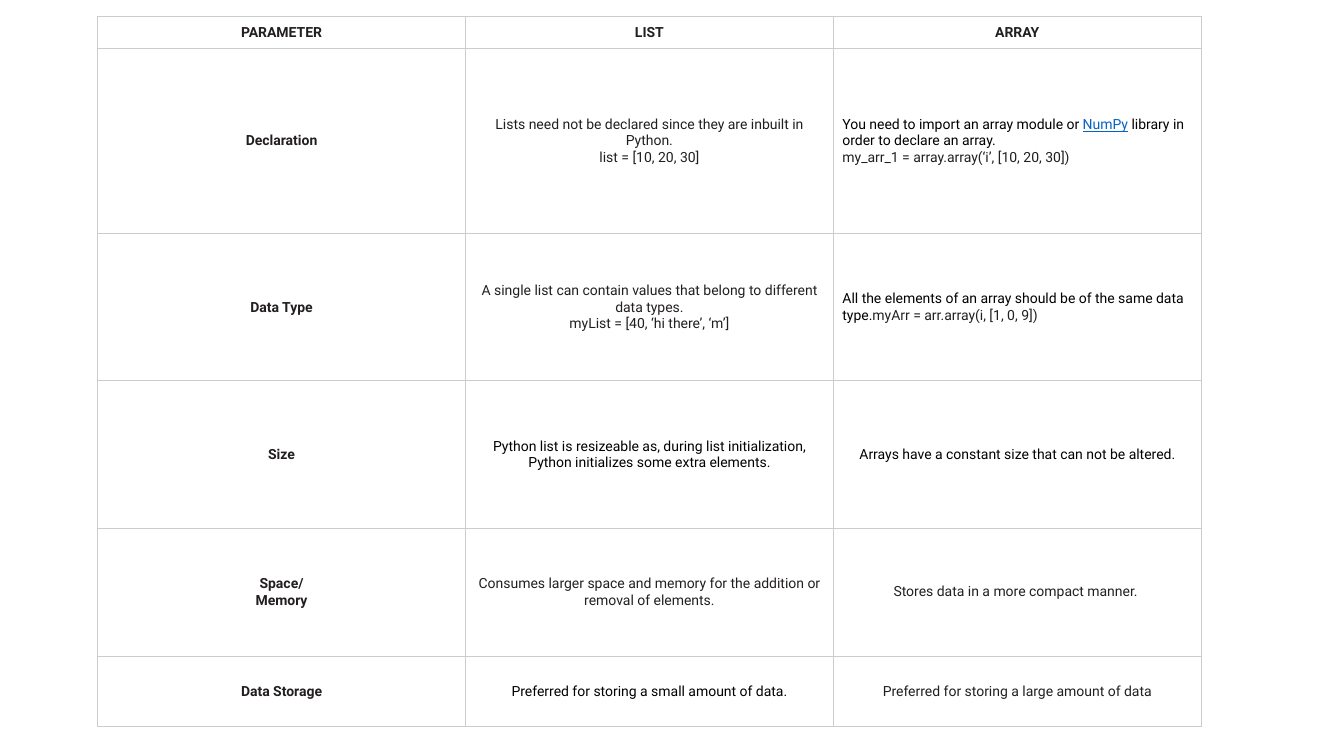
from lxml import etree
from pptx import Presentation
from pptx import util as u
from pptx.dml.color import RGBColor
from pptx.enum import text
from pptx.oxml.ns import qn

COLORS = {"ink": "231F20", "black": "000000", "link": "0563C1",
          "grid": "CCCCCC", "paper": "FFFFFF"}
FORMATS = {
    "head": {"color": "ink", "bold": True, "underline": False},
    "ink": {"color": "ink", "bold": False, "underline": False},
    "black": {"color": "black", "bold": False, "underline": False},
    "link": {"color": "link", "bold": False, "underline": True},
}
CELL_FORMAT = {"margin_left": u.Cm(0.23), "margin_right": u.Cm(0.23),
               "margin_top": u.Cm(0.15), "margin_bottom": u.Cm(0.15),
               "vertical_anchor": text.MSO_ANCHOR.MIDDLE}
LEFT, CENTER = text.PP_ALIGN.LEFT, text.PP_ALIGN.CENTER
ROW_HEIGHTS = [0.81, 4.67, 3.71, 3.71, 3.23, 1.78]


def lines(style, *texts):
    """Return centred paragraphs of one span each."""
    return CENTER, [[(words, style)] for words in texts]


ROWS = [
    [lines("head", "PARAMETER"), lines("head", "LIST"), lines("head", "ARRAY")],
    [lines("head", "Declaration"),
     lines("ink", "Lists need not be declared since they are inbuilt in Python.",
           "list = [10, 20, 30]"),
     (LEFT, [[("You need to import an array module or ", "black"),
              ("NumPy", "link"),
              (" library in order to declare an array. ", "black")],
             [("my_arr_1 = array.array(‘i’, [10, 20, 30])", "ink")]])],
    [lines("head", "Data Type"),
     lines("ink", "A single list can contain values that belong to different data types.",
           "myList = [40, ‘hi there’, ‘m’]"),
     (LEFT, [[("All the elements of an array should be of the same data type.", "black"),
              ("myArr = arr.array(i, [1, 0, 9])", "ink")]])],
    [lines("head", "Size"),
     lines("black", "Python list is resizeable as, during list initialization, "
                    "Python initializes some extra elements."),
     lines("black", "Arrays have a constant size that can not be altered.")],
    [lines("head", "Space/", "Memory"),
     lines("ink", "Consumes larger space and memory for the addition or removal of elements."),
     lines("ink", "Stores data in a more compact manner. ")],
    [lines("head", "Data Storage"),
     lines("black", "Preferred for storing a small amount of data."),
     lines("ink", "Preferred for storing a large amount of data")],
]


def draw_borders(cell):
    """Give the cell a thin line on all four sides."""
    properties = cell._tc.get_or_add_tcPr()
    for index, side in enumerate(("lnL", "lnR", "lnT", "lnB")):
        line = etree.Element(qn(f"a:{side}"), w=str(u.Pt(0.75)))
        fill = etree.SubElement(line, qn("a:solidFill"))
        etree.SubElement(fill, qn("a:srgbClr"), val=COLORS["grid"])
        properties.insert(index, line)


def write_cell(cell, align, paragraphs):
    """Fill, frame and write one table cell."""
    for name, value in CELL_FORMAT.items():
        setattr(cell, name, value)
    cell.fill.solid()
    cell.fill.fore_color.rgb = RGBColor.from_string(COLORS["paper"])
    draw_borders(cell)
    frame = cell.text_frame
    for index, spans in enumerate(paragraphs):
        para = frame.add_paragraph() if index else frame.paragraphs[0]
        para.alignment = align
        for words, style in spans:
            span = para.add_run()
            span.text = words
            look = {"name": "Roboto", "size": u.Pt(10), **FORMATS[style]}
            span.font.color.rgb = RGBColor.from_string(COLORS[look.pop("color")])
            for name, value in look.items():
                setattr(span.font, name, value)


def add_comparison(page, left, top, width, height):
    """Place the list and array comparison table in the given box."""
    table = page.shapes.add_table(len(ROWS), len(ROWS[0]), left, top, width, height).table
    table.first_row = table.horz_banding = False
    for column in table.columns:
        column.width = width // len(ROWS[0])
    for row, share, contents in zip(table.rows, ROW_HEIGHTS, ROWS):
        row.height = int(height * share / sum(ROW_HEIGHTS))
        for cell, (align, paragraphs) in zip(row.cells, contents):
            write_cell(cell, align, paragraphs)


def main():
    """Build the deck and save it."""
    deck = Presentation()
    deck.slide_width, deck.slide_height = u.Cm(33.87), u.Cm(19.05)
    page = deck.slides.add_slide(deck.slide_layouts[6])
    add_comparison(page, u.Cm(2.46), u.Cm(0.41), u.Cm(27.81), u.Cm(17.91))
    deck.save("out.pptx")


if __name__ == "__main__":
    main()
